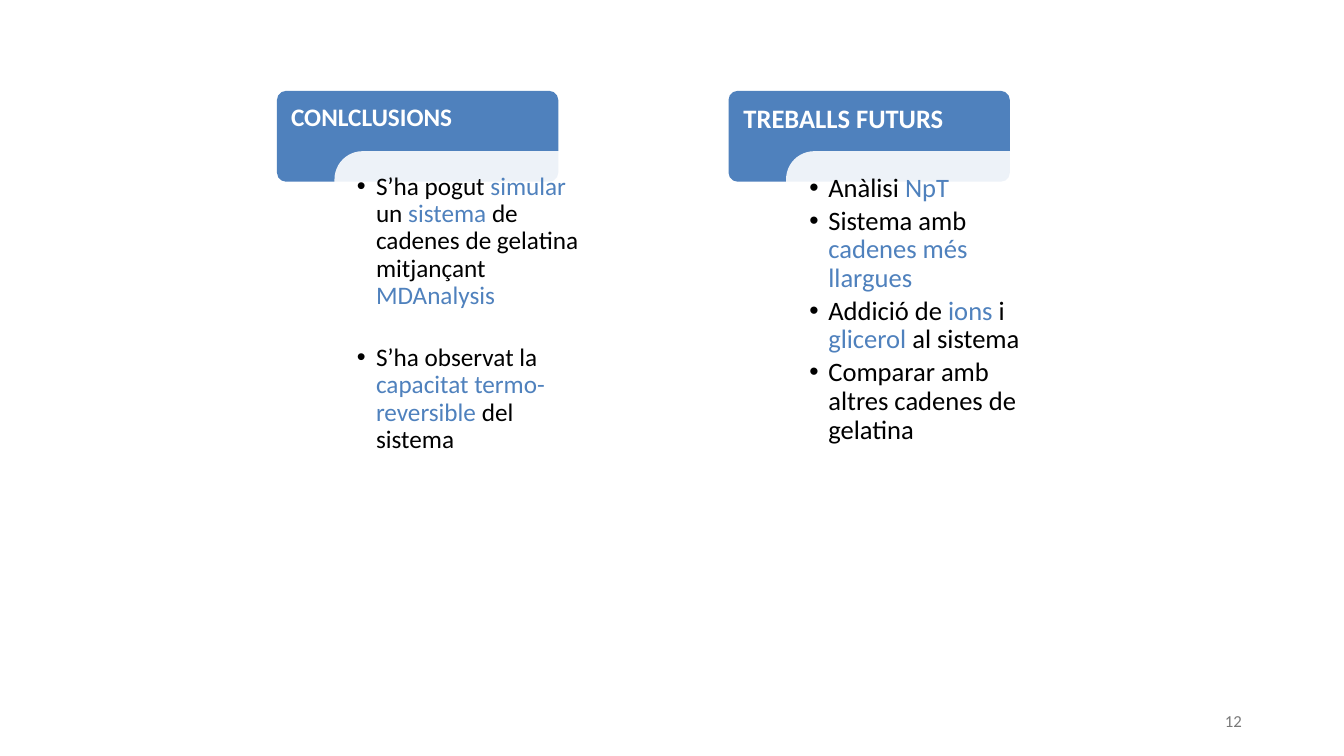
from lxml.etree import SubElement
from pptx import Presentation
from pptx.dml.color import RGBColor
from pptx.enum.shapes import MSO_SHAPE as Shape
from pptx.enum.text import MSO_ANCHOR as Anchor, PP_ALIGN as Align
from pptx.oxml.ns import qn
from pptx.util import Cm, Pt

BLUE = RGBColor(0x4F, 0x81, 0xBD)
WHITE = RGBColor(0xFF, 0xFF, 0xFF)
BLACK = RGBColor(0, 0, 0)
GREY = RGBColor(0x79, 0x79, 0x79)
FONT = "Calibri"

# Content: runs alternate between plain and highlighted text
COLUMNS = [
    dict(heading="CONLCLUSIONS", size=18, inset=0.36, gap=25, points=[
        ["S’ha pogut ", "simular ", "un", " sistema ",
         "de cadenes de gelatina mitjançant ", "MDAnalysis"],
        ["S’ha observat la ", "capacitat termo-reversible ", "del sistema"],
    ]),
    dict(heading="TREBALLS FUTURS", size=19, inset=0.38, gap=2.8, points=[
        ["Anàlisi ", "NpT"],
        ["Sistema amb ", "cadenes més llargues"],
        ["Addició de ", "ions", " i ", "glicerol", " al sistema"],
        ["Comparar amb altres cadenes de gelatina"],
    ]),
]
SLIDE_NUMBER = "12"

# Layout in centimetres
LEFT, TOP, PITCH = 6.98, 2.29, 11.38
WIDTH, HEADER_HEIGHT, PANEL_HEIGHT = 7.09, 2.29, 12.95
PANEL_SHIFT_X, PANEL_SHIFT_Y = 1.45, 1.52
HEADER_CORNER = 0.07  # text offset caused by the rounded corner
BULLET_INDENT = Cm(0.48)


def add_card(slide, left, top, height, color, inset):
    card = slide.shapes.add_shape(
        Shape.ROUNDED_RECTANGLE, Cm(left), Cm(top), Cm(WIDTH), Cm(height))
    card.adjustments[0] = 0.1
    card.shadow.inherit = False
    card.fill.solid()
    card.fill.fore_color.rgb = color
    card.line.fill.background()
    frame = card.text_frame
    frame.word_wrap = True
    frame.vertical_anchor = Anchor.TOP
    frame.margin_left = frame.margin_right = frame.margin_top = Cm(inset)
    frame.margin_bottom = Cm(inset)
    return card


def format_paragraph(paragraph, size, color, align=Align.LEFT):
    paragraph.alignment = align
    paragraph.line_spacing = 0.9
    font = paragraph.font
    font.name, font.size = FONT, Pt(size)
    font.color.rgb = color


def add_bullet(paragraph):
    properties = paragraph._p.get_or_add_pPr()
    properties.set("marL", str(BULLET_INDENT))
    properties.set("indent", str(-BULLET_INDENT))
    bullet_color = SubElement(properties, qn("a:buClr"))
    SubElement(bullet_color, qn("a:srgbClr"), val=str(BLACK))
    SubElement(properties, qn("a:buFont"), typeface="Arial")
    SubElement(properties, qn("a:buChar"), char="•")


def add_column(slide, left, column):
    size, inset = column["size"], column["inset"]

    # Heading
    header = add_card(slide, left, TOP, HEADER_HEIGHT, BLUE, inset - HEADER_CORNER)
    paragraph = header.text_frame.paragraphs[0]
    paragraph.text = column["heading"]
    format_paragraph(paragraph, size, WHITE)
    paragraph.font.bold = True

    # Translucent panel with the bullet points
    panel = add_card(slide, left + PANEL_SHIFT_X, TOP + PANEL_SHIFT_Y,
                     PANEL_HEIGHT, WHITE, inset)
    panel_color = panel.fill._xPr.find(".//" + qn("a:srgbClr"))
    SubElement(panel_color, qn("a:alpha"), val="90000")
    frame = panel.text_frame
    for index, texts in enumerate(column["points"]):
        paragraph = frame.add_paragraph() if index else frame.paragraphs[0]
        paragraph.level = 1
        add_bullet(paragraph)
        format_paragraph(paragraph, size, BLACK)
        paragraph.space_after = Pt(column["gap"])
        for position, text in enumerate(texts):
            run = paragraph.add_run()
            run.text = text
            run.font.color.rgb = BLUE if position % 2 else BLACK


def main():
    presentation = Presentation()
    presentation.slide_width, presentation.slide_height = Cm(33.87), Cm(19.05)
    slide = presentation.slides.add_slide(presentation.slide_layouts[6])

    for index, column in enumerate(COLUMNS):
        add_column(slide, LEFT + index * PITCH, column)

    # Slide number
    number = slide.shapes.add_textbox(Cm(23.93), Cm(17.65), Cm(7.62), Cm(1.02))
    number.text_frame.word_wrap = True
    number.text_frame.vertical_anchor = Anchor.MIDDLE
    paragraph = number.text_frame.paragraphs[0]
    paragraph.text = SLIDE_NUMBER
    format_paragraph(paragraph, 12, GREY, Align.RIGHT)
    paragraph.line_spacing = 1.0

    presentation.save("out.pptx")


if __name__ == "__main__":
    main()
